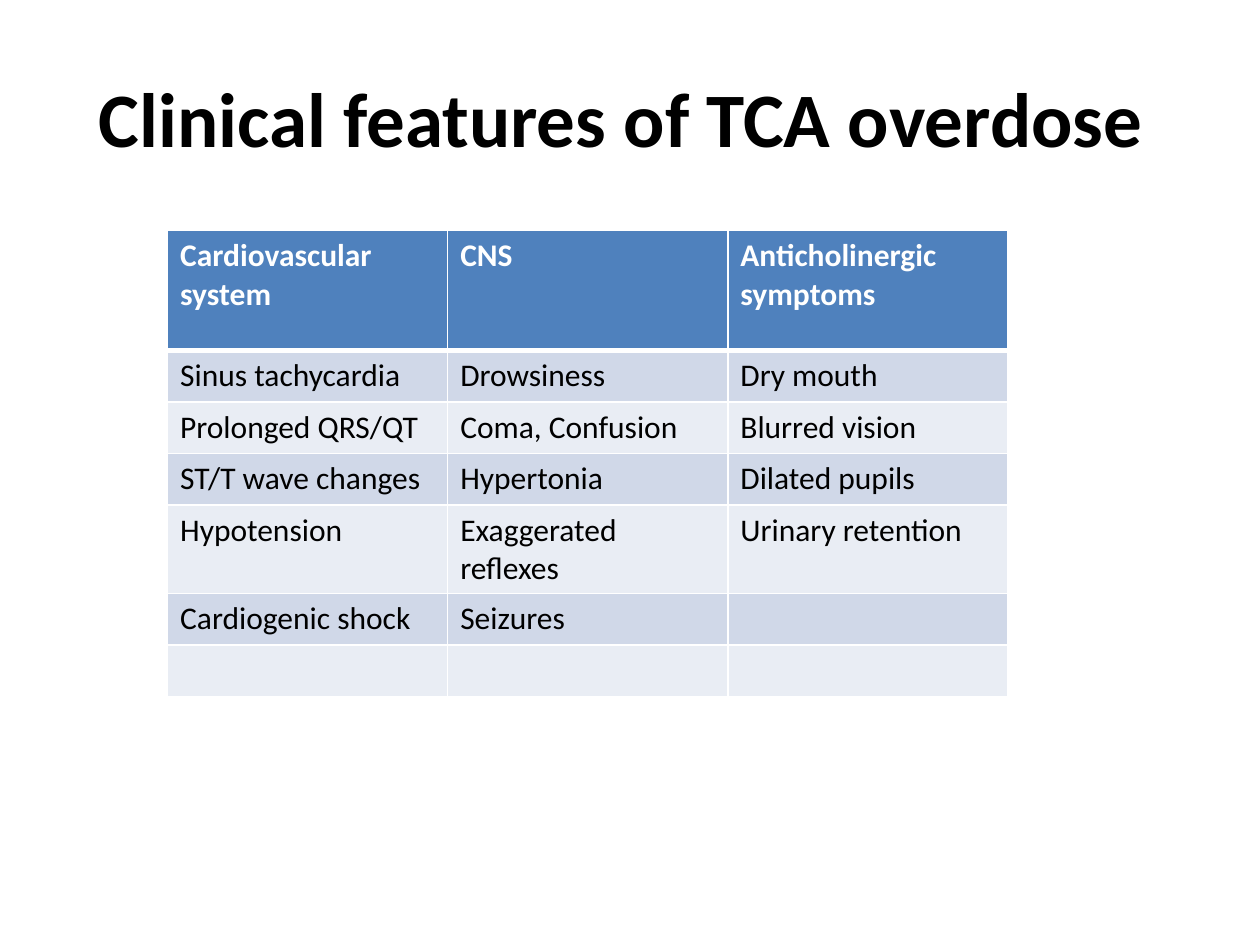
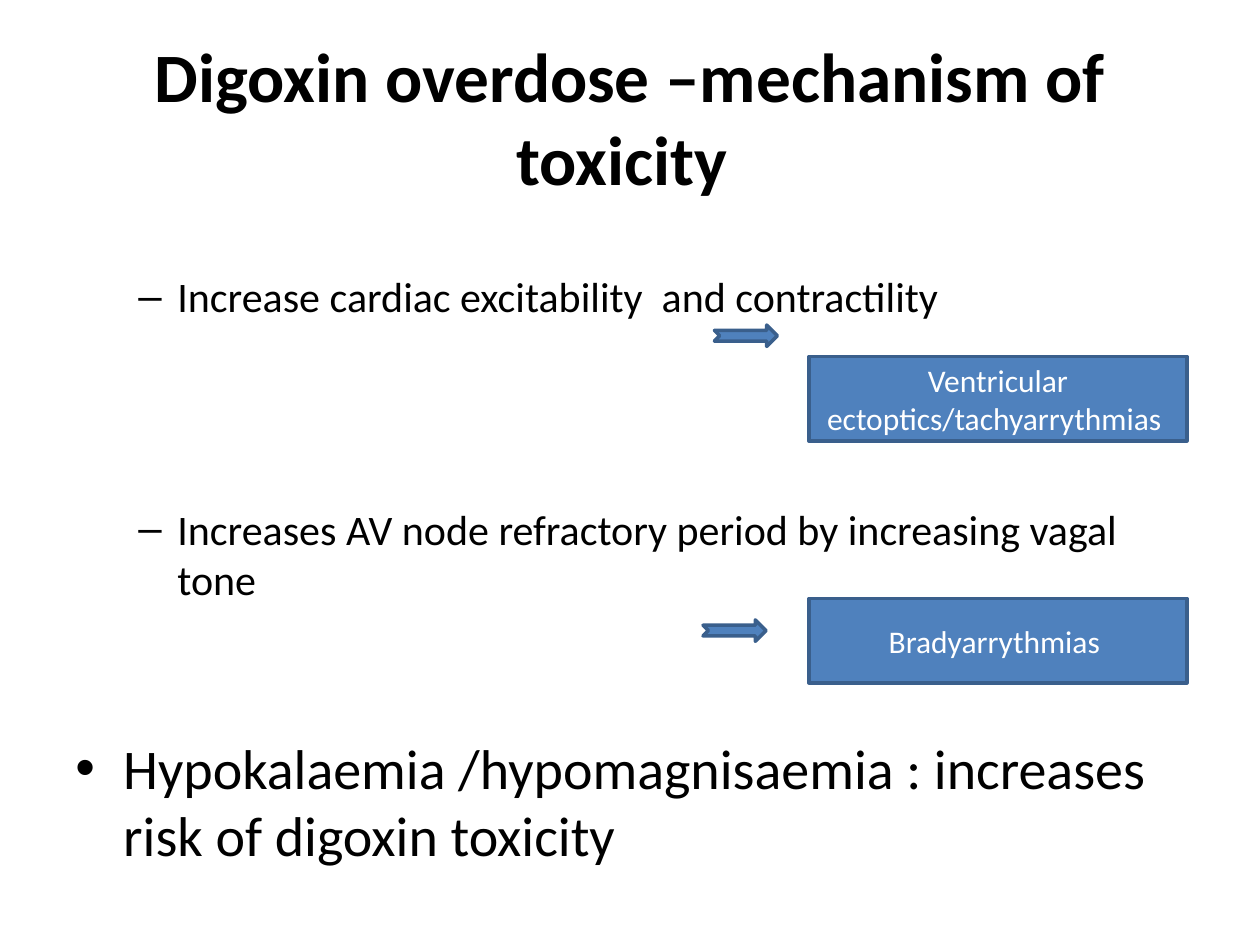
from dataclasses import dataclass

import pptx
import pptx.dml.color
import pptx.enum.shapes
import pptx.enum.text
import pptx.oxml
import pptx.oxml.ns
import pptx.util
from pptx.util import Inches

RGB = pptx.dml.color.RGBColor.from_string
SHAPE = pptx.enum.shapes.MSO_SHAPE
ALIGN = pptx.enum.text.PP_ALIGN
MIDDLE = pptx.enum.text.MSO_ANCHOR.MIDDLE


@dataclass(frozen=True)
class Theme:
    font: str = "Calibri"
    text: str = "000000"
    white: str = "FFFFFF"
    accent: str = "4F81BD"
    outline: str = "3A5F8C"
    bands: tuple = ("D0D8E8", "E9EDF4")
    title: float = 44
    long_title: float = 39.6
    bullet: float = 32
    dash: float = 24
    small: float = 18


THEME = Theme()
TITLE_BOX = (0.5, 0.3, 9, 1.25)

FEATURES = [
    ("Cardiovascular system", "CNS", "Anticholinergic symptoms"),
    ("Sinus tachycardia", "Drowsiness", "Dry mouth"),
    ("Prolonged QRS/QT", "Coma, Confusion", "Blurred vision"),
    ("ST/T wave changes", "Hypertonia", "Dilated pupils"),
    ("Hypotension", "Exaggerated reflexes", "Urinary retention"),
    ("Cardiogenic shock", "Seizures", ""),
    ("", "", ""),
]


@dataclass(frozen=True)
class Level:
    mark: str
    size: float
    margin: float
    hang: float


DASH = Level("–", THEME.dash, 0.81, 0.31)
BULLET = Level("•", THEME.bullet, 0.38, 0.38)

# Level, space before in points, text
MECHANISMS = [
    (DASH, 0, "Increase cardiac excitability  and contractility"),
    (DASH, 104, "Increases AV node refractory period by increasing vagal tone"),
    (BULLET, 74, "Hypokalaemia /hypomagnisaemia : increases risk of digoxin toxicity"),
]


def style(p, size, color=THEME.text, bold=False):
    p.font.name = THEME.font
    p.font.size = pptx.util.Pt(size)
    p.font.color.rgb = RGB(color)
    p.font.bold = bold


def add_text_frame(slide, box):
    tf = slide.shapes.add_textbox(*map(Inches, box)).text_frame
    tf.word_wrap = True
    return tf


def add_title(slide, text, size):
    tf = add_text_frame(slide, TITLE_BOX)
    tf.vertical_anchor = MIDDLE
    tf.text = text
    p = tf.paragraphs[0]
    p.alignment = ALIGN.CENTER
    style(p, size, bold=True)


def set_borders(cell, **widths):
    """Draw white borders; widths are points by side: L, R, T, B."""
    tc_pr = cell._tc.get_or_add_tcPr()
    for i, (side, width) in enumerate(widths.items()):
        tc_pr.insert(i, pptx.oxml.parse_xml(
            f'<a:ln{side} {pptx.oxml.ns.nsdecls("a")} w="{pptx.util.Pt(width)}">'
            f'<a:solidFill><a:srgbClr val="{THEME.white}"/></a:solidFill></a:ln{side}>'))


def add_features_table(slide, box, header_height):
    n_rows, n_cols = len(FEATURES), len(FEATURES[0])
    table = slide.shapes.add_table(n_rows, n_cols, *map(Inches, box)).table
    row_height = (box[3] - header_height) / (n_rows - 1)
    for i, texts in enumerate(FEATURES):
        header = i == 0
        table.rows[i].height = Inches(header_height if header else row_height)
        fill = THEME.accent if header else THEME.bands[(i - 1) % 2]
        for j, text in enumerate(texts):
            cell = table.cell(i, j)
            cell.text = text
            cell.fill.solid()
            cell.fill.fore_color.rgb = RGB(fill)
            set_borders(cell, L=1, R=1, T=3 if i == 1 else 1, B=3 if header else 1)
            style(cell.text_frame.paragraphs[0], THEME.small,
                  THEME.white if header else THEME.text, header)


def add_mechanisms(slide, box):
    tf = add_text_frame(slide, box)
    for i, (level, space, text) in enumerate(MECHANISMS):
        p = tf.paragraphs[0] if i == 0 else tf.add_paragraph()
        p.text = text
        p.space_before = pptx.util.Pt(space)
        p_pr = p._p.get_or_add_pPr()
        p_pr.set("marL", str(Inches(level.margin)))
        p_pr.set("indent", str(-Inches(level.hang)))
        ns = pptx.oxml.ns.nsdecls("a")
        p_pr.append(pptx.oxml.parse_xml(f'<a:buFont {ns} typeface="Arial"/>'))
        p_pr.append(pptx.oxml.parse_xml(f'<a:buChar {ns} char="{level.mark}"/>'))
        style(p, level.size)


def add_accent_shape(slide, kind, box):
    s = slide.shapes.add_shape(kind, *map(Inches, box))
    s.shadow.inherit = False
    s.fill.solid()
    s.fill.fore_color.rgb = RGB(THEME.accent)
    s.line.color.rgb = RGB(THEME.outline)
    s.line.width = pptx.util.Pt(2)
    return s


def add_outcome(slide, box, text, arrow_at):
    """Add a labelled box and its arrow, placed relative to the box corner."""
    left, top = box[:2]
    dx, dy = arrow_at
    add_accent_shape(slide, SHAPE.NOTCHED_RIGHT_ARROW, (left + dx, top + dy, 0.5, 0.17))
    tf = add_accent_shape(slide, SHAPE.RECTANGLE, box).text_frame
    tf.word_wrap = True
    tf.vertical_anchor = MIDDLE
    tf.text = text
    p = tf.paragraphs[0]
    p.alignment = ALIGN.CENTER
    style(p, THEME.small, THEME.white)


def add_features_slide(prs):
    slide = prs.slides.add_slide(prs.slide_layouts[6])
    add_title(slide, "Clinical features of TCA overdose ", THEME.title)
    add_features_table(slide, (1.33, 1.83, 6.67, 3.41), header_height=0.95)


def add_mechanism_slide(prs):
    slide = prs.slides.add_slide(prs.slide_layouts[6])
    add_title(slide, "Digoxin overdose –mechanism of toxicity ", THEME.long_title)
    add_mechanisms(slide, (0.5, 2.1, 9, 4.6))
    add_outcome(slide, (6.42, 2.83, 3, 0.67), "Ventricular ectoptics/tachyarrythmias ",
                (-0.75, -0.25))
    add_outcome(slide, (6.42, 4.75, 3, 0.67), "Bradyarrythmias ", (-0.84, 0.17))


def main():
    prs = pptx.Presentation()
    prs.slide_width, prs.slide_height = Inches(10), Inches(7.5)
    add_features_slide(prs)
    add_mechanism_slide(prs)
    prs.save("out.pptx")


if __name__ == "__main__":
    main()
